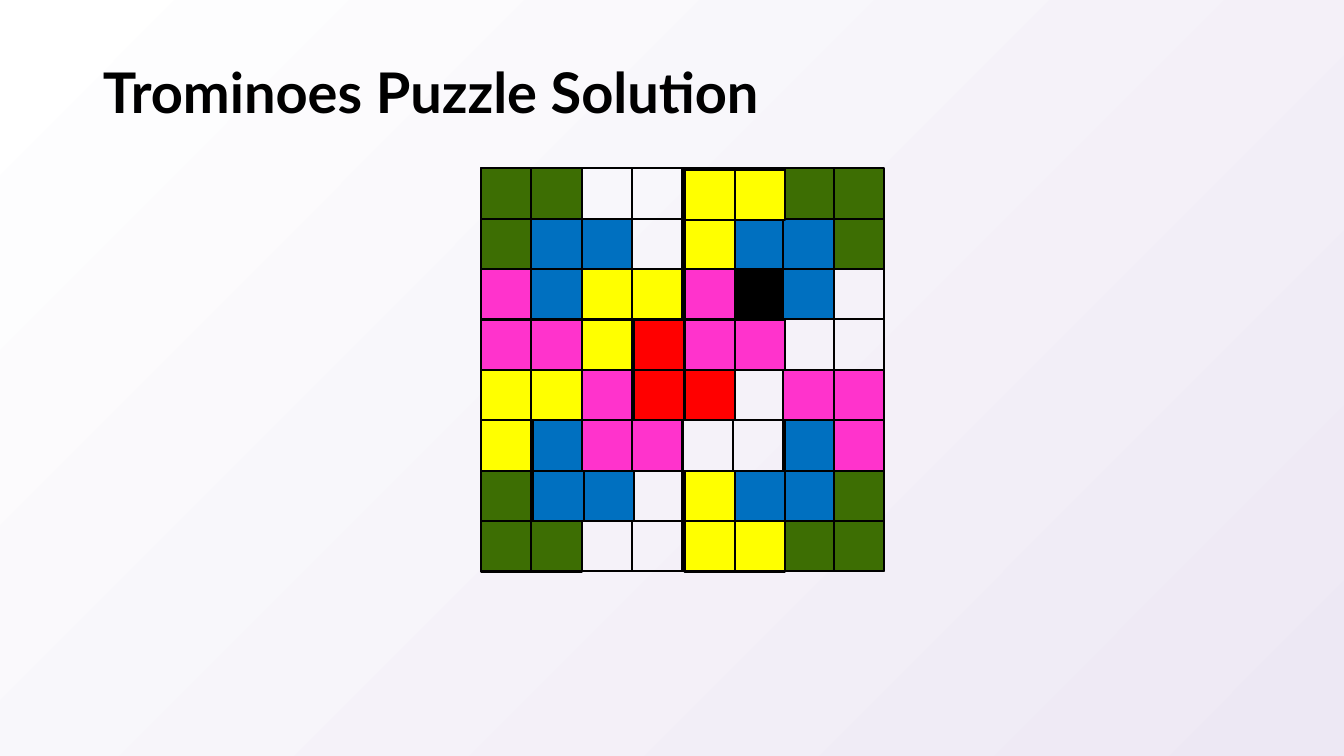
from typing import NamedTuple

from pptx import Presentation, util as u
from pptx.dml.color import RGBColor
from pptx.enum import shapes, text
from pptx.shapes.autoshape import Shape
from pptx.shapes.shapetree import GroupShapes
from pptx.slide import Slide

BLACK = RGBColor(0x00, 0x00, 0x00)
WHITE = RGBColor(0xFF, 0xFF, 0xFF)
LILAC = RGBColor(0xED, 0xE8, 0xF4)
RED = RGBColor(0xFF, 0x00, 0x00)
BLUE = RGBColor(0x00, 0x70, 0xC0)
GREEN = RGBColor(0x3D, 0x6E, 0x03)
YELLOW = RGBColor(0xFF, 0xFF, 0x00)
PINK = RGBColor(0xFF, 0x33, 0xCC)

LEFT, TOP, SIDE = 12.12, 4.24, 1.27  # board corner and cell size, in cm
SHIFT, DROP = 0.05, 0.03

# "o" is an open cell, "x" the blocked one, "." is left to a tile
BOARD = (
    "oooooo..",
    "ooooo...",
    "ooooox.o",
    "oooooooo",
    "oooooo..",
    "ooooooo.",
    "oooooooo",
    "oooooooo",
)

# Column and row steps: left, up, right, down
STEPS = ((-1, 0), (0, -1), (1, 0), (0, 1))


class Tile(NamedTuple):
    """An L of three cells: its elbow cell, quarter turns, colour and offset."""
    col: int
    row: int
    turn: int
    color: RGBColor
    dx: float = 0
    dy: float = 0


TILES = (
    Tile(3, 4, 2, RED, SHIFT),
    Tile(1, 6, 2, BLUE, SHIFT),
    Tile(6, 6, 1, BLUE, SHIFT),
    Tile(1, 1, 3, BLUE),
    Tile(6, 1, 0, BLUE),
    Tile(0, 0, 3, GREEN),
    Tile(7, 0, 0, GREEN),
    Tile(7, 7, 1, GREEN),
    Tile(0, 7, 2, GREEN),
    Tile(0, 4, 3, YELLOW),
    Tile(4, 0, 3, YELLOW, SHIFT, DROP),
    Tile(4, 7, 2, YELLOW, SHIFT),
    Tile(2, 2, 3, YELLOW),
    Tile(0, 3, 2, PINK),
    Tile(4, 3, 2, PINK, SHIFT),
    Tile(2, 5, 2, PINK),
    Tile(7, 4, 0, PINK),
)


def add_cell(group: GroupShapes, col: int, row: int, color: RGBColor | None,
             dx: float = 0, dy: float = 0) -> Shape:
    cell = group.add_shape(
        shapes.MSO_SHAPE.RECTANGLE,
        u.Cm(LEFT + col * SIDE + dx), u.Cm(TOP + row * SIDE + dy),
        u.Cm(SIDE), u.Cm(SIDE))
    cell.shadow.inherit = False
    if color is None:
        cell.fill.background()
    else:
        cell.fill.solid()
        cell.fill.fore_color.rgb = color
    cell.line.color.rgb = BLACK
    cell.line.width = u.Pt(1.5)
    return cell


def add_board(slide: Slide) -> None:
    group = slide.shapes.add_group_shape().shapes
    for row, marks in enumerate(BOARD):
        for col, mark in enumerate(marks):
            if mark != ".":
                add_cell(group, col, row, BLACK if mark == "x" else None)


def add_tile(slide: Slide, tile: Tile) -> None:
    group = slide.shapes.add_group_shape().shapes
    for x, y in (STEPS[tile.turn], (0, 0), STEPS[tile.turn - 1]):
        cell = add_cell(group, tile.col + x, tile.row + y,
                        tile.color, tile.dx, tile.dy)
        cell.rotation = tile.turn * 90


def set_title(slide: Slide, words: str) -> None:
    title = slide.shapes.title
    title.left, title.top = u.Cm(2.34), u.Cm(1.02)
    title.width, title.height = u.Cm(29.21), u.Cm(2.77)
    frame = title.text_frame
    frame.text = words
    frame.auto_size = text.MSO_AUTO_SIZE.NONE
    frame.vertical_anchor = text.MSO_ANCHOR.MIDDLE
    line = frame.paragraphs[0]
    line.alignment = text.PP_ALIGN.LEFT
    line.line_spacing = 0.9
    line.font.name = "Lato"
    line.font.size = u.Pt(40)
    line.font.bold = True
    line.font.color.rgb = BLACK


def set_back(slide: Slide) -> None:
    """Shade the background from top left to bottom right."""
    fill = slide.background.fill
    fill.gradient()
    fill.gradient_angle = 315
    for stop, place, color in zip(fill.gradient_stops, (0, 1), (WHITE, LILAC)):
        stop.position = place
        stop.color.rgb = color


def main() -> None:
    deck = Presentation()
    deck.slide_width, deck.slide_height = u.Cm(33.87), u.Cm(19.05)
    slide = deck.slides.add_slide(deck.slide_layouts[5])
    set_back(slide)
    set_title(slide, "Trominoes Puzzle Solution")
    add_board(slide)
    for tile in TILES:
        add_tile(slide, tile)
    deck.save("out.pptx")


if __name__ == "__main__":
    main()
